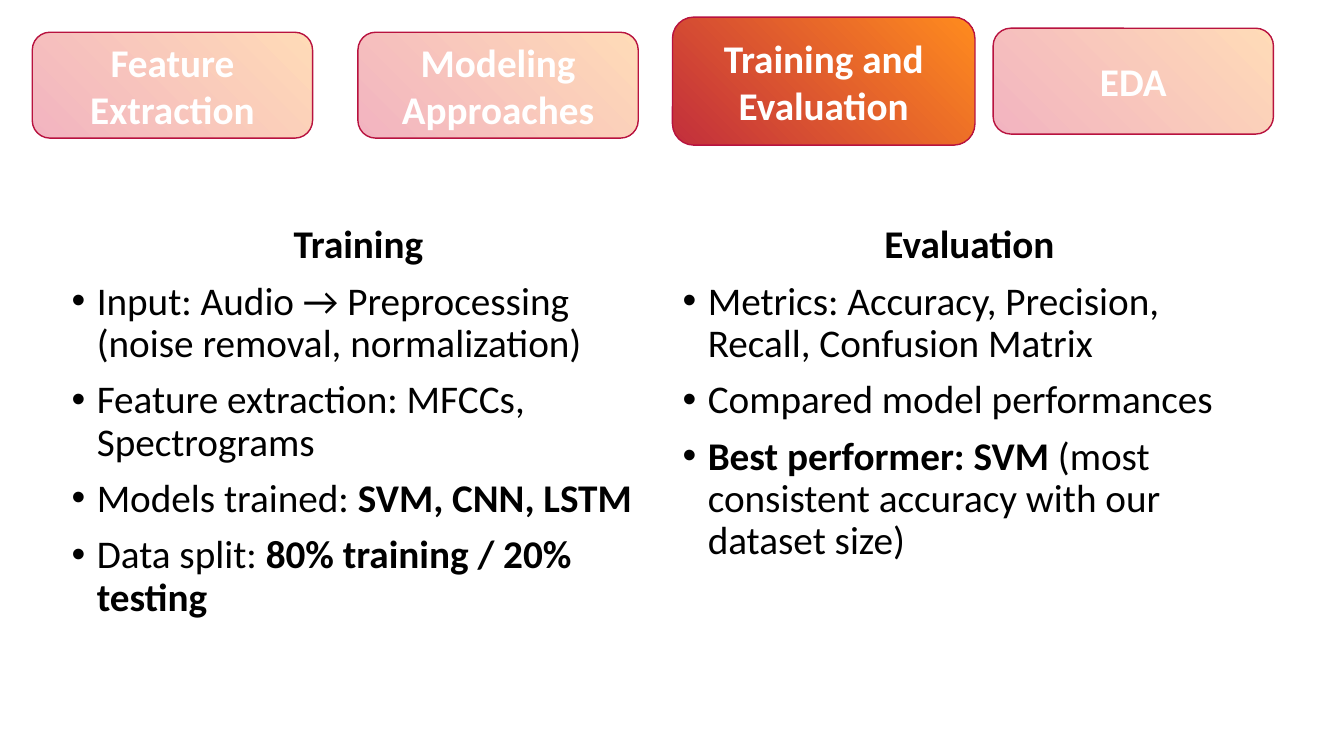
from lxml.etree import SubElement
from pptx import Presentation
from pptx.dml.color import RGBColor
from pptx.enum.shapes import MSO_SHAPE
from pptx.enum.text import MSO_ANCHOR, MSO_AUTO_SIZE, PP_ALIGN
from pptx.oxml.ns import qn
from pptx.util import Inches, Pt

COLORS = {
    "text": "000000",
    "white": "FFFFFF",
    "pale_pink": "F2B4C0",
    "pale_orange": "FFDBB7",
    "red": "C22F3C",
    "orange": "FF8B1E",
    "line_start": "B8123F",
    "line_end": "FF8C1A",
}


def add_run(p, text, color="text", bold=False, size=28, name="Calibri"):
    r = p.add_run()
    r.text = text
    r.font.name = name
    r.font.size = Pt(size)
    r.font.bold = bold
    r.font.color.rgb = RGBColor.from_string(COLORS[color])


def set_gradient(fill, parent, start, end):
    fill.gradient()
    grad = parent.find(qn("a:gradFill"))
    for child in list(grad):
        grad.remove(child)
    stops = SubElement(grad, qn("a:gsLst"))
    for color, position in ((start, 0), (end, 100000)):
        stop = SubElement(stops, qn("a:gs"), pos=str(position))
        SubElement(stop, qn("a:srgbClr"), val=COLORS[color])
    SubElement(grad, qn("a:lin"), ang=str(315 * 60000), scaled="0")


class SlideBuilder:
    def __init__(self, prs):
        self.s = prs.slides.add_slide(prs.slide_layouts[3])
        title = self.s.shapes.title
        title.element.getparent().remove(title.element)

    def tab(self, text, left, top, width=2.78, height=1.05, active=False):
        sp = self.s.shapes.add_shape(
            MSO_SHAPE.ROUNDED_RECTANGLE,
            Inches(left), Inches(top), Inches(width), Inches(height))
        sp.shadow.inherit = False
        sp.line.width = Pt(1)
        spPr = sp.element.spPr
        colors = ("red", "orange") if active else ("pale_pink", "pale_orange")
        set_gradient(sp.fill, spPr, *colors)
        set_gradient(sp.line.fill, spPr.find(qn("a:ln")), "line_start", "line_end")
        tf = sp.text_frame
        tf.word_wrap = True
        tf.vertical_anchor = MSO_ANCHOR.MIDDLE
        p = tf.paragraphs[0]
        p.alignment = PP_ALIGN.CENTER
        add_run(p, text, color="white", bold=True)

    def column(self, idx, left, height, heading, items):
        sp = self.s.placeholders[idx]
        sp.left, sp.top = Inches(left), Inches(2.18)
        sp.width, sp.height = Inches(5.89), Inches(height)
        tf = sp.text_frame
        tf.word_wrap = True
        tf.auto_size = MSO_AUTO_SIZE.NONE
        tf.vertical_anchor = MSO_ANCHOR.TOP
        p = tf.paragraphs[0]
        self.format_paragraph(p, bullet=False)
        add_run(p, heading, bold=True)
        for item in items:
            p = tf.add_paragraph()
            self.format_paragraph(p, bullet=True)
            for text, bold in item:
                add_run(p, text, bold=bold)

    def format_paragraph(self, p, bullet):
        pPr = p._p.get_or_add_pPr()
        indent = Inches(0.25) if bullet else 0
        pPr.set("marL", str(int(indent)))
        pPr.set("indent", str(-int(indent)))
        if bullet:
            SubElement(pPr, qn("a:buFont"), typeface="Arial")
            SubElement(pPr, qn("a:buChar"), char="•")
        else:
            SubElement(pPr, qn("a:buNone"))
        p.alignment = PP_ALIGN.LEFT if bullet else PP_ALIGN.CENTER
        p.line_spacing = 0.9
        p.space_before = Pt(10 if bullet else 0)


def main():
    prs = Presentation()
    prs.slide_width, prs.slide_height = Inches(13.33), Inches(7.5)
    slide = SlideBuilder(prs)

    slide.tab("Feature Extraction", 0.32, 0.32)
    slide.tab("Modeling Approaches", 3.55, 0.32)
    slide.tab("Training and Evaluation", 6.67, 0.17, 3, 1.27, active=True)
    slide.tab("EDA", 9.85, 0.28)

    slide.column(1, 0.61, 5.19, "Training", [
        [("Input: Audio → Preprocessing (noise removal, normalization)", False)],
        [("Feature extraction: MFCCs, Spectrograms", False)],
        [("Models trained: ", False), ("SVM, CNN, LSTM", True)],
        [("Data split: ", False), ("80% training / 20% testing", True)],
    ])
    slide.column(2, 6.67, 4.23, "Evaluation", [
        [("Metrics: Accuracy, Precision, Recall, Confusion Matrix", False)],
        [("Compared model performances", False)],
        [("Best performer: SVM", True),
         (" (most consistent accuracy with our dataset size)", False)],
    ])
    prs.save("out.pptx")


if __name__ == "__main__":
    main()
